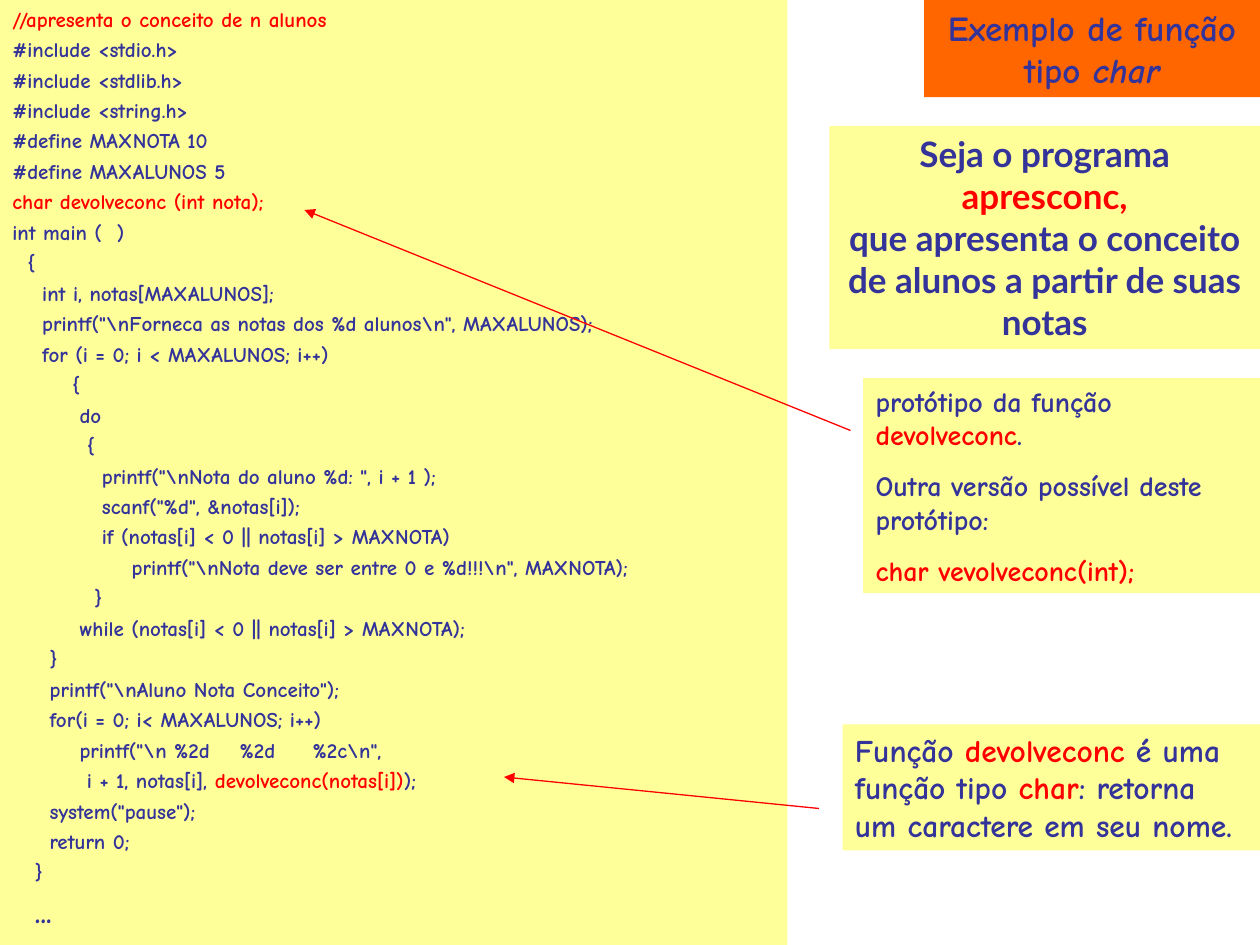
"""Builds a slide that explains a C function of type char."""
from dataclasses import dataclass

from lxml.etree import SubElement as Sub
from pptx import Presentation
from pptx.dml.color import RGBColor as Rgb
from pptx.enum.shapes import MSO_CONNECTOR as Link, MSO_SHAPE as Kind
from pptx.enum.text import MSO_ANCHOR as Anchor, MSO_AUTO_SIZE as Fit, PP_ALIGN as Align
from pptx.oxml.ns import qn
from pptx.util import Inches, Pt

COLS, ROWS = 120, 90
WIDTH, HEIGHT = Inches(10), Inches(7.5)


@dataclass(frozen=True)
class Theme:
    """Colours, fonts and type sizes."""
    ink: Rgb = Rgb(0x33, 0x33, 0x99)
    red: Rgb = Rgb(0xFF, 0, 0)
    cream: Rgb = Rgb(0xFF, 0xFF, 0x99)
    orange: Rgb = Rgb(0xFF, 0x66, 0)
    hand: str = "Comic Neue"
    sans: str = "Lato"
    code: int = 12
    note: int = 16
    body: int = 18
    head: int = 20


THEME = Theme()


@dataclass(frozen=True)
class Panel:
    """A filled box; text between tildes takes the accent style."""
    col: float
    row: float
    end: float
    high: float
    lines: list[str]
    size: int
    fill: Rgb = THEME.cream
    font: str = THEME.hand
    gap: float = 0.625
    align: Align = Align.LEFT
    slant: bool = False
    hang: float = 0
    last: int = 0
    grow: bool = True


@dataclass(frozen=True)
class Arrow:
    """A line with its head at the second point."""
    col: float
    row: float
    to_col: float
    to_row: float


SETUP = r"""~//apresenta o conceito de n alunos~
#include <stdio.h>
#include <stdlib.h>
#include <string.h>
#define MAXNOTA 10
#define MAXALUNOS 5
~char devolveconc (int nota);~"""

INPUT = r"""int main (  )
  {
    int i, notas[MAXALUNOS];
    printf("\nForneca as notas dos %d alunos\n", MAXALUNOS);
    for (i = 0; i < MAXALUNOS; i++)
        {
         do
          {
            printf("\nNota do aluno %d: ", i + 1 );
            scanf("%d", &notas[i]);
            if (notas[i] < 0 || notas[i] > MAXNOTA)
                printf("\nNota deve ser entre 0 e %d!!!\n", MAXNOTA);
           }
         while (notas[i] < 0 || notas[i] > MAXNOTA);
     }"""

OUTPUT = r"""     printf("\nAluno Nota Conceito");
     for(i = 0; i< MAXALUNOS; i++)
         printf("\n %2d    %2d     %2c\n",
          i + 1, notas[i], ~devolveconc(notas[i])~);
     system("pause");
     return 0;
   }
  ..."""

CODE = [line for part in (SETUP, INPUT, OUTPUT) for line in part.splitlines()]

PANELS = [
    Panel(79, 12, COLS, 21.25,
          ["Seja o programa ~apresconc,~",
           "que apresenta o conceito de alunos a partir de suas notas"],
          THEME.head, font=THEME.sans, gap=0, align=Align.CENTER),
    Panel(0, 0, 75, ROWS, CODE, THEME.code,
          gap=0.25, hang=4.5, last=THEME.body, grow=False),
    Panel(82.2, 36, COLS, 20.5,
          ["protótipo da função ~devolveconc~.",
           "Outra versão possível deste protótipo:",
           "~char vevolveconc(int);~"], THEME.note),
    Panel(80.25, 69, COLS, 12,
          ["Função ~devolveconc ~é uma função tipo ~char~: "
           "retorna um caractere em seu nome."], THEME.body),
    Panel(88, 0, COLS, 9.25, ["Exemplo de função tipo ~char~"], THEME.head,
          fill=THEME.orange, align=Align.CENTER, slant=True),
]

ARROWS = [Arrow(81, 41, 29, 20), Arrow(78, 77, 48, 74)]


def across(col: float) -> int:
    """Turn grid columns into a length."""
    return round(WIDTH * col / COLS)


def down(row: float) -> int:
    """Turn grid rows into a length."""
    return round(HEIGHT * row / ROWS)


def write(para, line: str, size: int, panel: Panel) -> None:
    """Fill a paragraph, switching style at each tilde."""
    para.alignment = panel.align
    if panel.hang:
        props = para._p.get_or_add_pPr()
        props.set("marL", str(across(panel.hang)))
        props.set("indent", str(-across(panel.hang)))
    for spot, part in enumerate(line.split("~")):
        if not part:
            continue
        accent = spot % 2 == 1
        run = para.add_run()
        run.text = part
        font = run.font
        font.name, font.size, font.bold = panel.font, Pt(size), True
        font.color.rgb = THEME.red if accent and not panel.slant else THEME.ink
        if accent and panel.slant:
            font.italic = True


def draw_panel(slide, panel: Panel) -> None:
    """Draw one box with its text."""
    shape = slide.shapes.add_shape(
        Kind.RECTANGLE, across(panel.col), down(panel.row),
        across(panel.end - panel.col), down(panel.high))
    shape.shadow.inherit = False
    shape.fill.solid()
    shape.fill.fore_color.rgb = panel.fill
    shape.line.fill.background()
    frame = shape.text_frame
    frame.word_wrap = True
    frame.vertical_anchor = Anchor.TOP
    frame.auto_size = Fit.SHAPE_TO_FIT_TEXT if panel.grow else Fit.NONE
    final = len(panel.lines) - 1
    for spot, line in enumerate(panel.lines):
        para = frame.add_paragraph() if spot else frame.paragraphs[0]
        size = panel.last if panel.last and spot == final else panel.size
        para.space_before = Pt(size * panel.gap if spot else 0)
        write(para, line, size, panel)


def draw_arrow(slide, arrow: Arrow) -> None:
    """Draw one thin red arrow."""
    wire = slide.shapes.add_connector(
        Link.STRAIGHT, across(arrow.col), down(arrow.row),
        across(arrow.to_col), down(arrow.to_row))
    wire.line.color.rgb = THEME.red
    wire.line.width = Pt(0.75)
    Sub(wire.line._get_or_add_ln(), qn("a:tailEnd"), type="triangle")
    Sub(wire._element.spPr, qn("a:effectLst"))


def main() -> None:
    """Build and save the slide."""
    deck = Presentation()
    deck.slide_width, deck.slide_height = WIDTH, HEIGHT
    slide = deck.slides.add_slide(deck.slide_layouts[6])
    for panel in PANELS:
        draw_panel(slide, panel)
    for arrow in ARROWS:
        draw_arrow(slide, arrow)
    deck.save("out.pptx")


if __name__ == "__main__":
    main()
